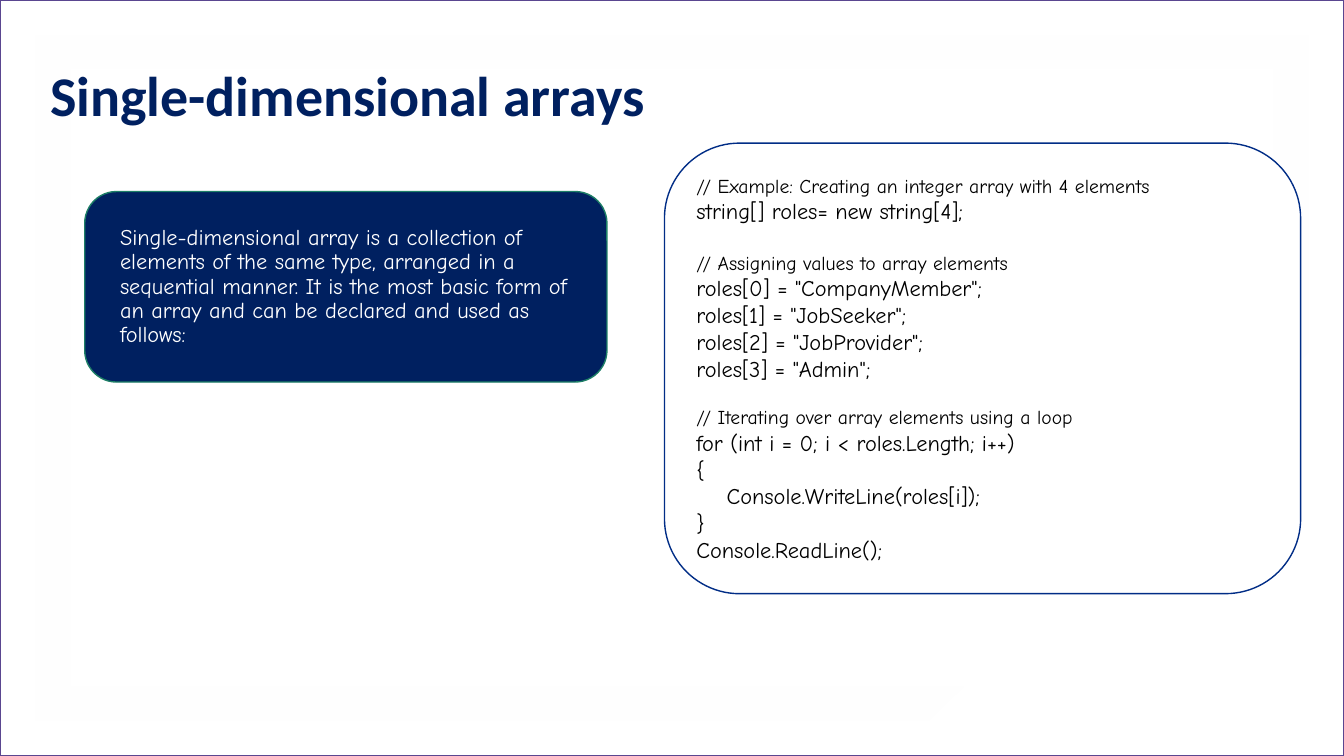
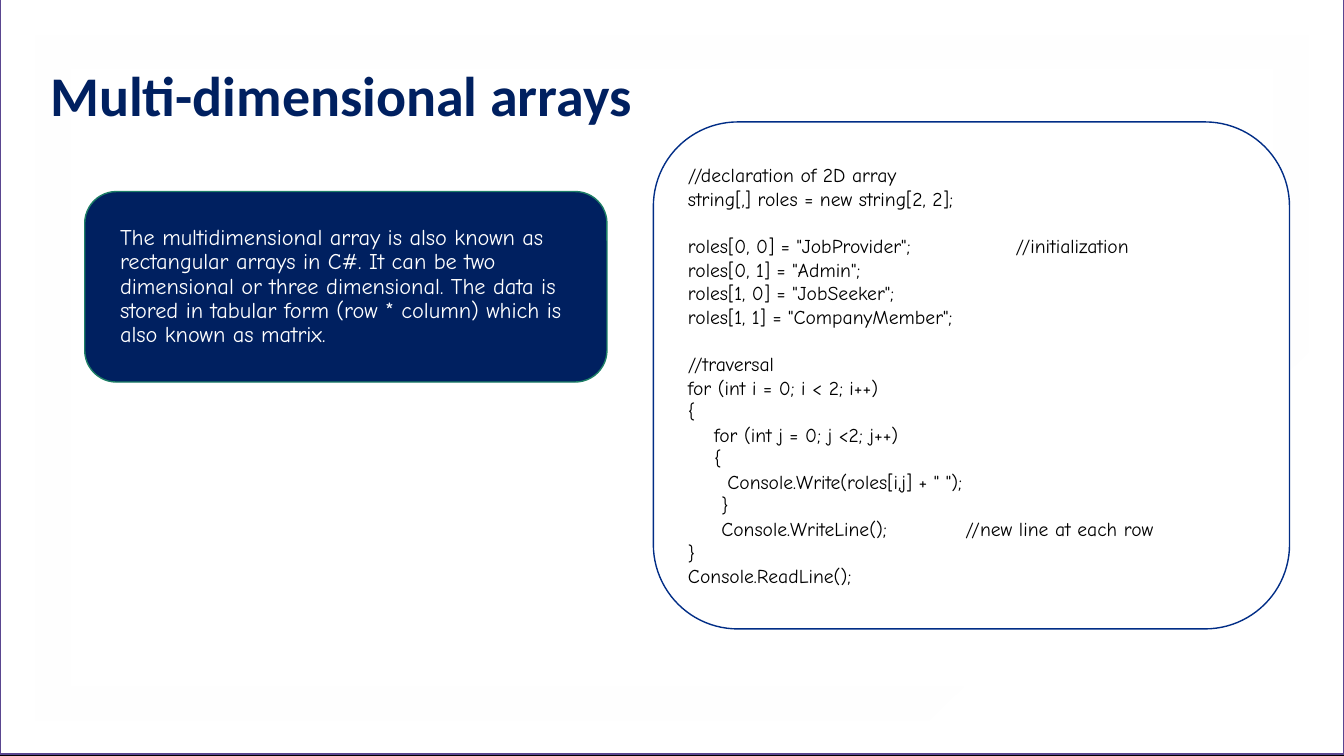
from dataclasses import dataclass

from lxml.etree import SubElement
from pptx import Presentation
from pptx.dml.color import RGBColor
from pptx.enum.shapes import MSO_SHAPE
from pptx.enum.text import MSO_ANCHOR, PP_ALIGN
from pptx.oxml.ns import qn
from pptx.util import Inches, Pt

COLORS = {
    "backdrop": "000000",
    "white": "FFFFFF",
    "frame": "FEFEFE",
    "navy": "002060",
    "page_line": "5A4690",
    "summary_line": "1D7F66",
    "code_line": "012D86",
    "code": "000000",
}
TITLE_FONT = "Calibri"
BODY_FONT = "Comic Neue"
SLIDE_WIDTH, SLIDE_HEIGHT = 13.33, 7.5
FRAME_POINTS = [
    (0.35, 0.35), (12.98, 0.35), (12.98, 3.49), (12.63, 3.83), (12.63, 0.68),
    (0.7, 0.68), (0.7, 6.81), (9.56, 6.81), (9.21, 7.15), (0.35, 7.15),
]


@dataclass(frozen=True)
class Box:
    left: float
    top: float
    width: float
    height: float

    def lengths(self):
        return [Inches(v) for v in (self.left, self.top, self.width, self.height)]


@dataclass(frozen=True)
class CodeLine:
    """A line of code; each tab in its text moves to the next of its stops (inches)."""
    text: str
    size: int = 14
    gap: int = 0
    stops: tuple[float, ...] = ()


@dataclass(frozen=True)
class Topic:
    title: str
    summary: str
    page_top: float
    code_box: Box
    code: list[CodeLine]


TITLE_BOX = Box(0.4, 0.46, 7.15, 0.89)
SUMMARY_BOX = Box(0.84, 1.9, 5.18, 1.89)

TOPICS = [
    Topic(
        "Single-dimensional arrays",
        "Single-dimensional array is a collection of elements of the same type, "
        "arranged in a sequential manner. It is the most basic form of an array "
        "and can be declared and used as follows:",
        0,
        Box(6.59, 1.42, 6.31, 4.47),
        [
            CodeLine("// Example: Creating an integer array with 4 elements"),
            CodeLine("string[] roles= new string[4];", 16),
            CodeLine("// Assigning values to array elements", gap=19),
            CodeLine('roles[0] = "CompanyMember";', 16),
            CodeLine('roles[1] = "JobSeeker";', 16),
            CodeLine('roles[2] = "JobProvider";', 16),
            CodeLine('roles[3] = "Admin";', 16),
            CodeLine("// Iterating over array elements using a loop", gap=17),
            CodeLine("for (int i = 0; i < roles.Length; i++)", 16),
            CodeLine("{", 16),
            CodeLine("\tConsole.WriteLine(roles[i]);", 16, stops=(0.3,)),
            CodeLine("}", 16),
            CodeLine("Console.ReadLine();", 16),
        ],
    ),
    Topic(
        "Multi-dimensional arrays",
        "The multidimensional array is also known as rectangular arrays in C#. "
        "It can be two dimensional or three dimensional. The data is stored in "
        "tabular form (row * column) which is also known as matrix.",
        -0.02,
        Box(6.48, 1.21, 6.31, 5.03),
        [
            CodeLine("//declaration of 2D array"),
            CodeLine("string[,] roles = new string[2, 2];"),
            CodeLine('roles[0, 0] = "JobProvider";\t//initialization', gap=17, stops=(3.25,)),
            CodeLine('roles[0, 1] = "Admin";'),
            CodeLine('roles[1, 0] = "JobSeeker";'),
            CodeLine('roles[1, 1] = "CompanyMember";'),
            CodeLine("//traversal", gap=17),
            CodeLine("for (int i = 0; i < 2; i++)"),
            CodeLine("{"),
            CodeLine("\tfor (int j = 0; j <2; j++)", stops=(0.26,)),
            CodeLine("\t{", stops=(0.26,)),
            CodeLine('\tConsole.Write(roles[i,j] + " ");', stops=(0.39,)),
            CodeLine("\t}", stops=(0.33,)),
            CodeLine("\tConsole.WriteLine();\t//new line at each row", stops=(0.33, 2.75)),
            CodeLine("}"),
            CodeLine("Console.ReadLine();"),
        ],
    ),
]


def color(name: str) -> RGBColor:
    return RGBColor.from_string(COLORS[name])


def add_panel(page, kind: MSO_SHAPE, box: Box, fill: str, line: str):
    panel = page.shapes.add_shape(kind, *box.lengths())
    panel.shadow.inherit = False
    panel.fill.solid()
    panel.fill.fore_color.rgb = color(fill)
    panel.line.color.rgb = color(line)
    panel.line.width = Pt(1)
    panel.text_frame.word_wrap = True
    panel.text_frame.vertical_anchor = MSO_ANCHOR.MIDDLE
    return panel


def write(para, text: str, font: str, size: int, ink: str, bold: bool = False) -> None:
    para.text = text
    para.alignment = PP_ALIGN.LEFT
    for span in para.runs:
        span.font.name = font
        span.font.size = Pt(size)
        span.font.bold = bold
        span.font.color.rgb = color(ink)


def add_frame(page) -> None:
    """Draw the faint, nearly transparent frame inside the page."""
    points = [(Inches(x), Inches(y)) for x, y in FRAME_POINTS]
    builder = page.shapes.build_freeform(*points[0])
    builder.add_line_segments(points[1:], close=True)
    frame = builder.convert_to_shape()
    frame.shadow.inherit = False
    frame.fill.solid()
    frame.fill.fore_color.rgb = color("frame")
    frame.line.fill.background()
    tint = frame.fill._xPr.find(qn("a:solidFill"))[0]
    SubElement(tint, qn("a:alpha")).set("val", "25000")


def add_title(page, title: str) -> None:
    box = page.shapes.add_textbox(*TITLE_BOX.lengths())
    box.text_frame.word_wrap = True
    box.text_frame.vertical_anchor = MSO_ANCHOR.MIDDLE
    para = box.text_frame.paragraphs[0]
    write(para, title, TITLE_FONT, 40, "navy", bold=True)
    para.line_spacing = 1.1


def add_summary(page, summary: str) -> None:
    panel = add_panel(page, MSO_SHAPE.ROUNDED_RECTANGLE, SUMMARY_BOX, "navy", "summary_line")
    para = panel.text_frame.paragraphs[0]
    write(para, summary, BODY_FONT, 16, "white")
    para.line_spacing = 0.9
    properties = para._p.get_or_add_pPr()
    properties.set("marL", str(Inches(0.16)))
    properties.set("indent", "0")


def add_tab_stops(para, stops: tuple[float, ...]) -> None:
    tab_list = SubElement(para._p.get_or_add_pPr(), qn("a:tabLst"))
    for stop in stops:
        SubElement(tab_list, qn("a:tab"), pos=str(Inches(stop)), algn="l")


def add_code(page, box: Box, code: list[CodeLine]) -> None:
    panel = add_panel(page, MSO_SHAPE.ROUNDED_RECTANGLE, box, "white", "code_line")
    frame = panel.text_frame
    for index, line in enumerate(code):
        para = frame.add_paragraph() if index else frame.paragraphs[0]
        write(para, line.text, BODY_FONT, line.size, "code")
        if line.gap:
            para.space_before = Pt(line.gap)
        if line.stops:
            add_tab_stops(para, line.stops)


def add_topic(deck, topic: Topic) -> None:
    page = deck.slides.add_slide(deck.slide_layouts[6])
    page.background.fill.solid()
    page.background.fill.fore_color.rgb = color("backdrop")
    page_box = Box(0, topic.page_top, SLIDE_WIDTH, SLIDE_HEIGHT)
    add_panel(page, MSO_SHAPE.RECTANGLE, page_box, "white", "page_line")
    add_frame(page)
    add_title(page, topic.title)
    add_summary(page, topic.summary)
    add_code(page, topic.code_box, topic.code)


def main() -> None:
    deck = Presentation()
    deck.slide_width = Inches(SLIDE_WIDTH)
    deck.slide_height = Inches(SLIDE_HEIGHT)
    for topic in TOPICS:
        add_topic(deck, topic)
    deck.save("out.pptx")


if __name__ == "__main__":
    main()
